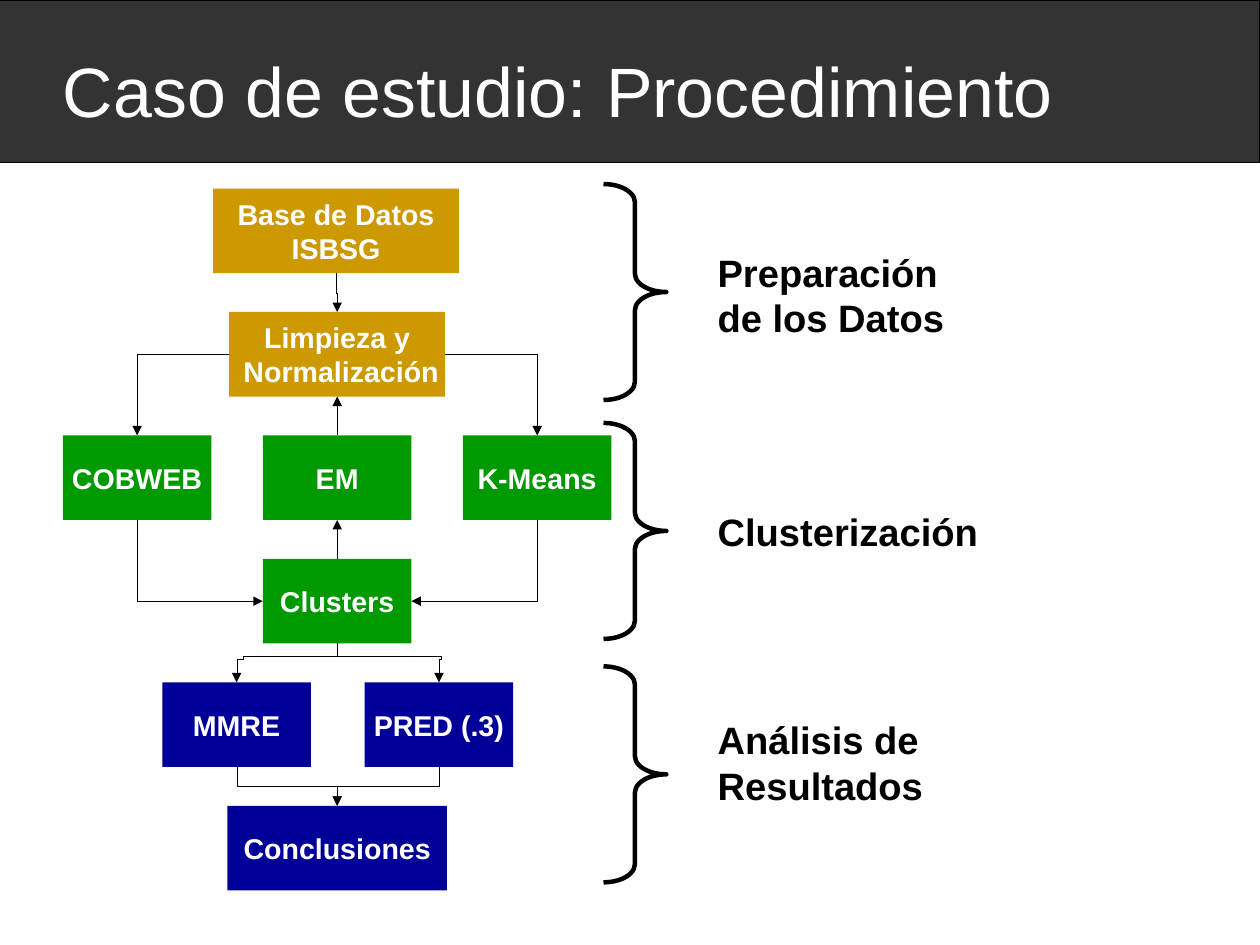
from lxml.etree import SubElement
from pptx import Presentation
from pptx.dml.color import RGBColor
from pptx.enum.shapes import MSO_CONNECTOR, MSO_SHAPE
from pptx.enum.text import MSO_ANCHOR, MSO_AUTO_SIZE, PP_ALIGN
from pptx.oxml.ns import qn
from pptx.util import Cm, Inches, Pt

WIDE, HIGH = Cm(28), Cm(21)
TOP, LEFT, BASE, RIGHT = range(4)
GOLD, GREEN, BLUE = "CC9900", "009900", "000099"
BLACK, WHITE, GRAY = "000000", "FFFFFF", "333333"
NODES = {
    "base": (0, -0.01, 2.15, GOLD, ["Base de Datos", "ISBSG"]),
    "clean": (1, 0, 1.89, GOLD, ["Limpieza y", " Normalización"]),
    "cobweb": (2, -1.75, 1.3, GREEN, ["COBWEB"]),
    "em": (2, 0, 1.3, GREEN, ["EM"]),
    "means": (2, 1.75, 1.3, GREEN, ["K-Means"]),
    "groups": (3, 0, 1.3, GREEN, ["Clusters"]),
    "mmre": (4, -0.88, 1.3, BLUE, ["MMRE"]),
    "pred": (4, 0.89, 1.3, BLUE, ["PRED (.3)"]),
    "end": (5, 0, 1.92, BLUE, ["Conclusiones"]),
}
BENDS = [
    ("clean", RIGHT, "means", TOP, "tailEnd"),
    ("clean", LEFT, "cobweb", TOP, "tailEnd"),
    ("groups", LEFT, "cobweb", BASE, "headEnd"),
    ("groups", RIGHT, "means", BASE, "headEnd"),
]
FOLDS = [
    ("base", "clean", [50]),
    ("mmre", "end", [50]),
    ("pred", "end", [50]),
    ("groups", "pred", [33.2, 102.2, 41]),
    ("groups", "mmre", [33.3, 93.4, 41]),
]
STAGES = [
    (1.61, 2.13, 0.84, ["Preparación", "de los Datos"]),
    (3.7, 4.4, 0.47, ["Clusterización"]),
    (5.83, 6.22, 0.84, ["Análisis de Resultados"]),
]


def ink(code):
    return RGBColor.from_string(code)


def place(*box):
    return [Inches(part) for part in box]


def write(para, text, size, code, bold=False):
    run = para.add_run()
    run.text = text
    font = run.font
    font.name, font.size, font.bold = "Arial", Pt(size), bold
    font.color.rgb = ink(code)


def block(shapes, kind, box, code):
    shape = shapes.add_shape(kind, *place(*box))
    shape.shadow.inherit = False
    shape.fill.solid()
    shape.fill.fore_color.rgb = ink(code)
    return shape


def thin(line):
    line.color.rgb = ink(BLACK)
    edge = line._get_or_add_ln()
    edge.set("w", "0")
    return edge


def banner(slide, x, y, w, h):
    band = block(slide.shapes, MSO_SHAPE.RECTANGLE, (x, y, w, h), GRAY)
    thin(band.line)
    title = slide.shapes.title
    band._element.addnext(title._element)
    title.left, title.top, title.width, title.height = place(
        x + 0.05 * w, y + 0.1, 0.92 * w, h - 0.05)
    frame = title.text_frame
    frame.margin_left = frame.margin_right = 0
    frame.margin_top = frame.margin_bottom = 0
    frame.vertical_anchor = MSO_ANCHOR.MIDDLE
    frame.auto_size = MSO_AUTO_SIZE.NONE
    para = frame.paragraphs[0]
    para.alignment = PP_ALIGN.LEFT
    write(para, "Caso de estudio: Procedimiento", 44, WHITE)


def node(shapes, box, code, lines):
    shape = block(shapes, MSO_SHAPE.RECTANGLE, box, code)
    shape.line.fill.background()
    frame = shape.text_frame
    frame.word_wrap = False
    frame.vertical_anchor = MSO_ANCHOR.MIDDLE
    para = frame.paragraphs[0]
    para.alignment = PP_ALIGN.CENTER
    for index, text in enumerate(lines):
        if index:
            para.add_line_break()
        write(para, text, 18, WHITE, True)
    return shape


def link(shapes, kind, start, out, stop, into, head="tailEnd"):
    line = shapes.add_connector(kind, 0, 0, 0, 0)
    line.begin_connect(start, out)
    line.end_connect(stop, into)
    SubElement(thin(line.line), qn("a:" + head), type="triangle")
    SubElement(line._element.spPr, qn("a:effectLst"))
    return line


def form(line, count, shares=()):
    geom = line._element.spPr.find(qn("a:prstGeom"))
    geom.set("prst", f"bentConnector{count}")
    values = geom.find(qn("a:avLst"))
    if values is None:
        values = SubElement(geom, qn("a:avLst"))
    for index, share in enumerate(shares, 1):
        SubElement(values, qn("a:gd"), name=f"adj{index}",
                   fmla=f"val {round(share * 1000)}")


def fold(line, shares):
    form(line, len(shares) + 2, shares)
    across, down = line.end_x - line.begin_x, line.end_y - line.begin_y
    mid_x = (line.begin_x + line.end_x) // 2
    mid_y = (line.begin_y + line.end_y) // 2
    line.width, line.height = down, abs(across)
    line.left, line.top = mid_x - down // 2, mid_y - abs(across) // 2
    frame = line._element.spPr.find(qn("a:xfrm"))
    frame.set("rot", "16200000" if across > 0 else "5400000")
    frame.set("flipH", "1" if across > 0 else "0")
    frame.set("flipV", "0")


def flow(slide, x, y, w, h):
    shapes, tall, made = slide.shapes, 0.74, {}
    pitch = (h - tall) / 5
    for name, (row, shift, wide, code, lines) in NODES.items():
        left = x + w / 2 + shift - wide / 2
        made[name] = node(
            shapes, (left, y + row * pitch, wide, tall), code, lines)
    for start, out, stop, into, head in BENDS:
        form(link(shapes, MSO_CONNECTOR.ELBOW, made[start], out,
                  made[stop], into, head), 2)
    for start, stop in [("em", "clean"), ("groups", "em")]:
        link(shapes, MSO_CONNECTOR.STRAIGHT, made[start], TOP,
             made[stop], BASE)
    for start, stop, shares in FOLDS:
        fold(link(shapes, MSO_CONNECTOR.ELBOW, made[start], BASE,
                  made[stop], TOP), shares)


def stage(slide, x, y, w, h, drop, tall, lines):
    brace = slide.shapes.add_shape(
        MSO_SHAPE.RIGHT_BRACE, *place(x, y, 0.55, h))
    brace.shadow.inherit = False
    brace.adjustments[0] = 0.29
    brace.fill.background()
    brace.line.color.rgb = ink(BLACK)
    brace.line.width = Pt(2.83)
    label = slide.shapes.add_textbox(
        *place(x + 0.9, y + drop, w - 0.9, tall))
    frame = label.text_frame
    frame.word_wrap = True
    for index, text in enumerate(lines):
        para = frame.add_paragraph() if index else frame.paragraphs[0]
        write(para, text, 24, BLACK, True)


def main():
    deck = Presentation()
    deck.slide_width, deck.slide_height = WIDE, HIGH
    slide = deck.slides.add_slide(deck.slide_layouts[5])
    banner(slide, 0, 0, WIDE.inches, 1.42)
    flow(slide, 0.55, 1.65, 4.8, 6.14)
    for top, drop, tall, lines in STAGES:
        stage(slide, 5.28, top, 4.52, 1.89, drop - top, tall, lines)
    deck.save("out.pptx")


if __name__ == "__main__":
    main()
